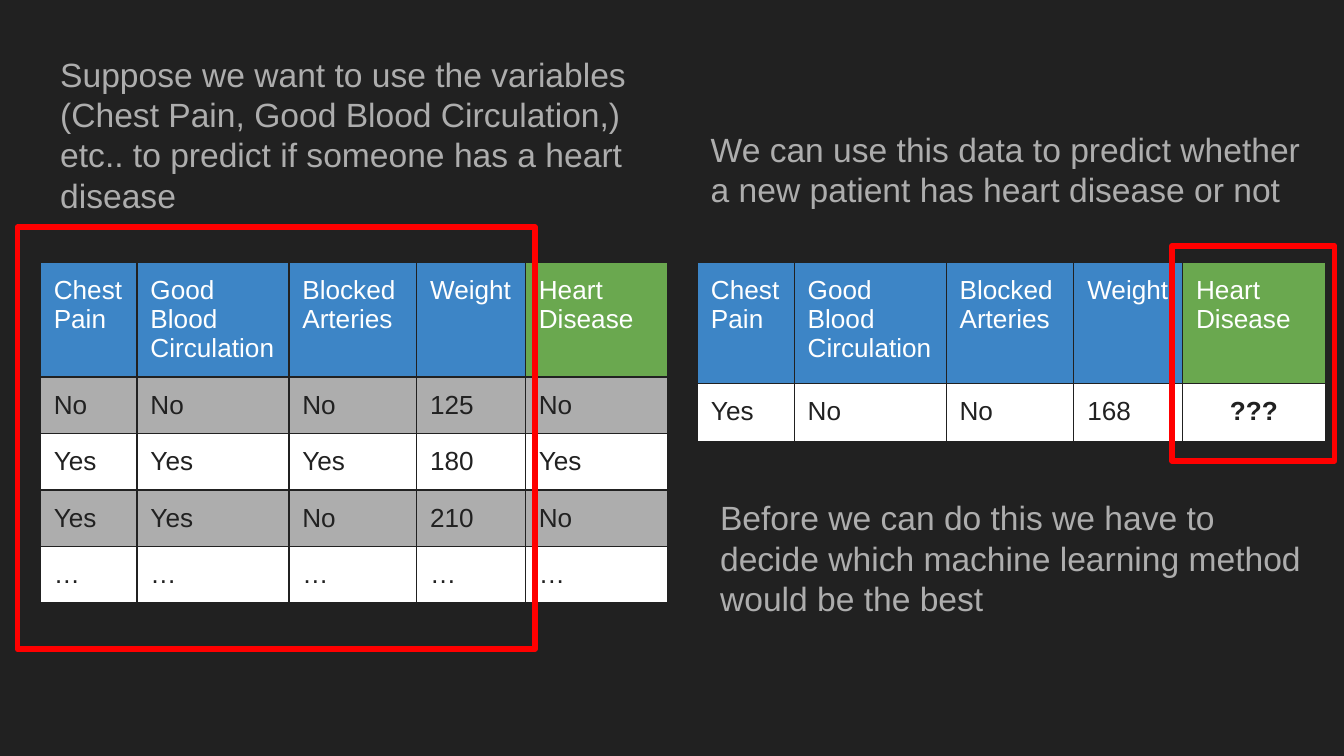
from lxml import etree
from pptx import Presentation
from pptx.dml.color import RGBColor
from pptx.enum.shapes import MSO_SHAPE
from pptx.enum.text import PP_ALIGN
from pptx.oxml.ns import qn
from pptx.util import Inches, Pt

RECTANGLE = MSO_SHAPE.RECTANGLE
LEFT = PP_ALIGN.LEFT
CENTER = PP_ALIGN.CENTER

COLORS = {
    "background": "212121",
    "dark": "212121",
    "gray": "ADADAD",
    "white": "FFFFFF",
    "blue": "3D85C6",
    "green": "6AA84F",
    "red": "FF0000",
}
FONT = "Arial"
UNKNOWN = "???"
HEADERS = ["Chest Pain", "Good Blood Circulation", "Blocked Arteries", "Weight", "Heart Disease"]
COLUMN_WIDTHS = [0.72, 1.13, 0.95, 0.81, 1.06]
HEADER_HEIGHT = 0.85
ROW_HEIGHT = 0.42
KNOWN_PATIENTS = [
    ["No", "No", "No", "125", "No"],
    ["Yes", "Yes", "Yes", "180", "Yes"],
    ["Yes", "Yes", "No", "210", "No"],
    ["…"] * 5,
]
NEW_PATIENT = [["Yes", "No", "No", "168", UNKNOWN]]


def rgb(name):
    return RGBColor.from_string(COLORS[name])


def set_margins(target):
    target.margin_left = target.margin_right = Inches(0.1)
    target.margin_top = target.margin_bottom = Inches(0.1)


def add_run(paragraph, text, size, color, bold=False):
    run = paragraph.add_run()
    run.text = text
    run.font.name = FONT
    run.font.size = Pt(size)
    run.font.bold = bold
    run.font.color.rgb = rgb(color)


def add_text(slide, text, left, top, width, height):
    frame = slide.shapes.add_textbox(
        Inches(left), Inches(top), Inches(width), Inches(height)
    ).text_frame
    frame.word_wrap = True
    set_margins(frame)
    add_run(frame.paragraphs[0], text, 18, "gray")


def set_borders(cell):
    properties = cell._tc.get_or_add_tcPr()
    for index, side in enumerate(["lnL", "lnR", "lnT", "lnB"]):
        line = etree.Element(qn(f"a:{side}"), w=str(Pt(0.75)))
        fill = etree.SubElement(line, qn("a:solidFill"))
        etree.SubElement(fill, qn("a:srgbClr"), val=COLORS["dark"])
        properties.insert(index, line)


def fill_cell(cell, text, fill, color):
    cell.fill.solid()
    cell.fill.fore_color.rgb = rgb(fill)
    set_borders(cell)
    set_margins(cell)
    paragraph = cell.text_frame.paragraphs[0]
    unknown = text == UNKNOWN
    paragraph.alignment = CENTER if unknown else LEFT
    add_run(paragraph, text, 14, color, unknown)


def add_patient_table(slide, patients, row_fills, left, top):
    heights = [HEADER_HEIGHT] + [ROW_HEIGHT] * len(patients)
    table = slide.shapes.add_table(
        len(heights), len(HEADERS), Inches(left), Inches(top),
        Inches(sum(COLUMN_WIDTHS)), Inches(sum(heights)),
    ).table
    for column, width in zip(table.columns, COLUMN_WIDTHS):
        column.width = Inches(width)
    for row, height in zip(table.rows, heights):
        row.height = Inches(height)
    for column, header in enumerate(HEADERS):
        fill = "green" if header == HEADERS[-1] else "blue"
        fill_cell(table.cell(0, column), header, fill, "white")
    for row, patient in enumerate(patients, 1):
        fill = row_fills[(row - 1) % len(row_fills)]
        for column, value in enumerate(patient):
            fill_cell(table.cell(row, column), value, fill, "dark")


def add_highlight(slide, left, top, width, height):
    shape = slide.shapes.add_shape(
        RECTANGLE, Inches(left), Inches(top), Inches(width), Inches(height)
    )
    shape.shadow.inherit = False
    shape.fill.background()
    shape.line.color.rgb = rgb("red")
    shape.line.width = Pt(3)
    etree.SubElement(shape.line._get_or_add_ln(), qn("a:round"))


def main():
    presentation = Presentation()
    presentation.slide_width = Inches(10)
    presentation.slide_height = Inches(10 * 9 / 16)
    slide = presentation.slides.add_slide(presentation.slide_layouts[6])
    slide.background.fill.solid()
    slide.background.fill.fore_color.rgb = rgb("background")

    add_patient_table(slide, KNOWN_PATIENTS, ["gray", "white"], 0.3, 1.95)
    add_text(
        slide,
        "Suppose we want to use the variables (Chest Pain, Good Blood Circulation,) "
        "etc.. to predict if someone has a heart disease",
        0.35, 0.3, 4.6, 1.37,
    )
    add_highlight(slide, 0.13, 1.69, 3.85, 3.14)

    add_patient_table(slide, NEW_PATIENT, ["white"], 5.19, 1.95)
    add_highlight(slide, 8.72, 1.83, 1.21, 1.6)
    add_text(
        slide,
        "We can use this data to predict whether a new patient has heart disease or not",
        5.19, 0.86, 4.6, 0.81,
    )
    add_text(
        slide,
        "Before we can do this we have to decide which machine learning method "
        "would be the best",
        5.26, 3.6, 4.6, 1.05,
    )
    presentation.save("out.pptx")


if __name__ == "__main__":
    main()
